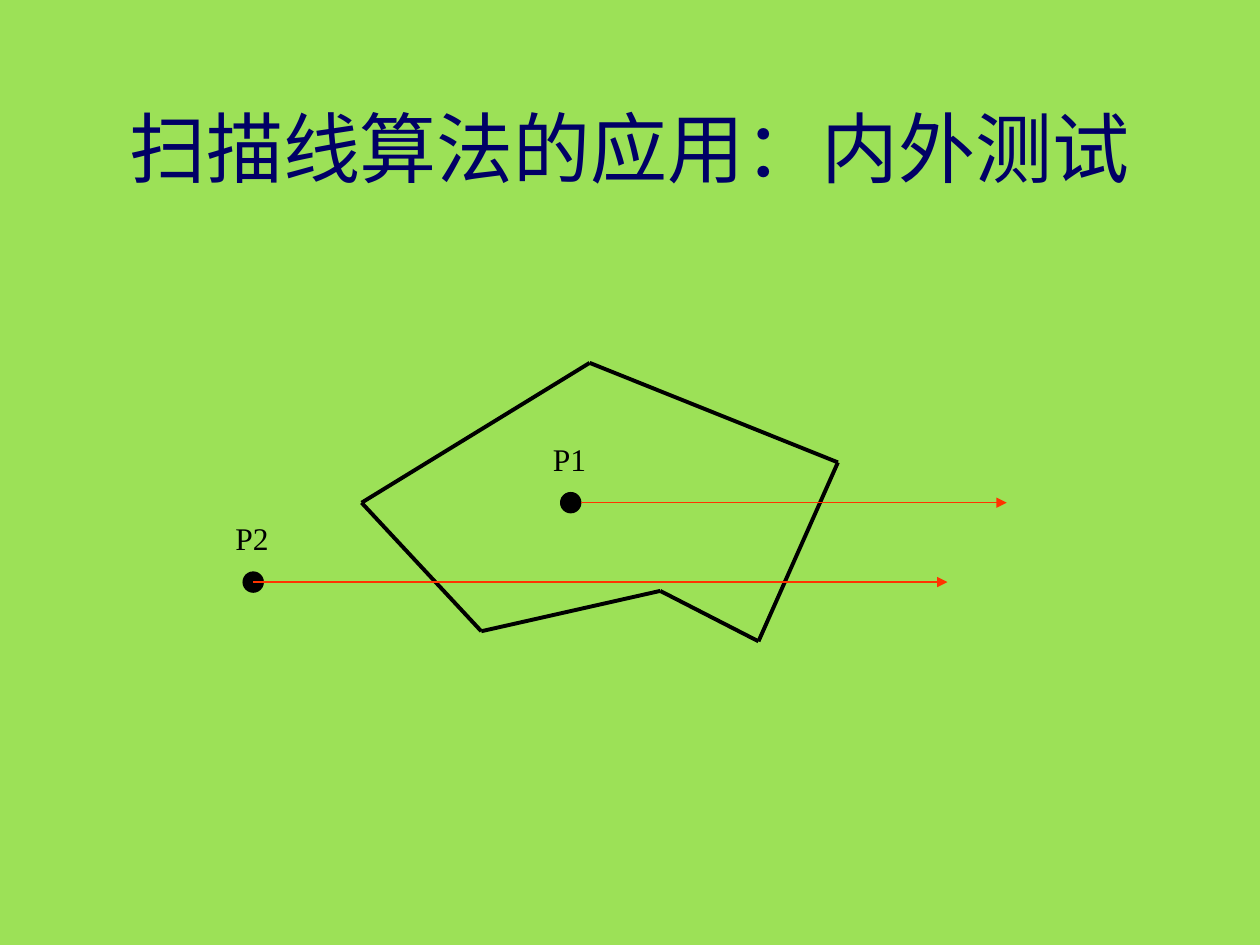
from itertools import pairwise
from pptx import Presentation
from pptx.dml.color import RGBColor
from pptx.enum.shapes import MSO_CONNECTOR, MSO_SHAPE
from pptx.enum.text import MSO_ANCHOR, PP_ALIGN
from pptx.oxml.ns import qn
from pptx.util import Inches, Pt
from lxml import etree

LINE, OVAL = MSO_CONNECTOR.STRAIGHT, MSO_SHAPE.OVAL
LEFT, CENTER = PP_ALIGN.LEFT, PP_ALIGN.CENTER
TOP, MIDDLE = MSO_ANCHOR.TOP, MSO_ANCHOR.MIDDLE

# Content
TITLE = "扫描线算法的应用：内外测试"
FONT = "Times New Roman"
BACK, NAVY, BLACK, RED = "9CE157", "000066", "000000", "FF3300"
CORNERS = [(2.87, 3.99), (4.68, 2.88), (6.65, 3.67),
           (6.02, 5.09), (5.24, 4.69), (3.82, 5.01)]
DOT = 0.16
# name, dot centre, ray start x, ray end x
POINTS = [("P1", (4.53, 3.99), 4.61, 7.99),
          ("P2", (2.01, 4.62), 2.01, 7.52)]


def color(code):
    return RGBColor.from_string(code)


def write(shape, text, size, code, align=LEFT, anchor=TOP, wrap=True):
    frame = shape.text_frame
    frame.word_wrap = wrap
    frame.vertical_anchor = anchor
    para = frame.paragraphs[0]
    para.alignment = align
    run = para.add_run()
    run.text = text
    run.font.name, run.font.size = FONT, Pt(size)
    run.font.color.rgb = color(code)


def draw_line(start, end, code, width, arrow=False):
    line = slide.shapes.add_connector(LINE, *map(Inches, start + end))
    line.line.color.rgb = color(code)
    line.line.width = Pt(width)
    if arrow:
        ln = line.line._get_or_add_ln()
        etree.SubElement(ln, qn("a:tailEnd"), type="triangle")
    etree.SubElement(line._element.spPr, qn("a:effectLst"))


def draw_dot(x, y):
    box = (x - DOT / 2, y - DOT / 2, DOT, DOT)
    dot = slide.shapes.add_shape(OVAL, *map(Inches, box))
    dot.shadow.inherit = False
    dot.fill.solid()
    dot.fill.fore_color.rgb = color(BLACK)
    dot.line.color.rgb = color(BLACK)
    dot.line.width = Pt(0.75)


prs = Presentation()
prs.slide_width, prs.slide_height = Inches(10), Inches(7.5)
slide = prs.slides.add_slide(prs.slide_layouts[5])
slide.background.fill.solid()
slide.background.fill.fore_color.rgb = color(BACK)

# Title
title = slide.shapes.title
title.left, title.top = Inches(0.75), Inches(0.75)
title.width, title.height = Inches(8.5), Inches(0.83)
write(title, TITLE, 44, NAVY, align=CENTER, anchor=MIDDLE)

# Polygon
for start, end in pairwise(CORNERS + CORNERS[:1]):
    draw_line(start, end, BLACK, 2.25)

# Test points and their labels
for name, (x, y), _, _ in POINTS:
    draw_dot(x, y)
    box = (x - 0.16 - 0.08, y - 0.55, 0.47, 0.4)
    label = slide.shapes.add_textbox(*map(Inches, box))
    write(label, name, 18, BLACK, wrap=False)

# Rays
for _, (_, y), start, end in POINTS:
    draw_line((start, y), (end, y), RED, 0.75, arrow=True)

prs.save("out.pptx")
